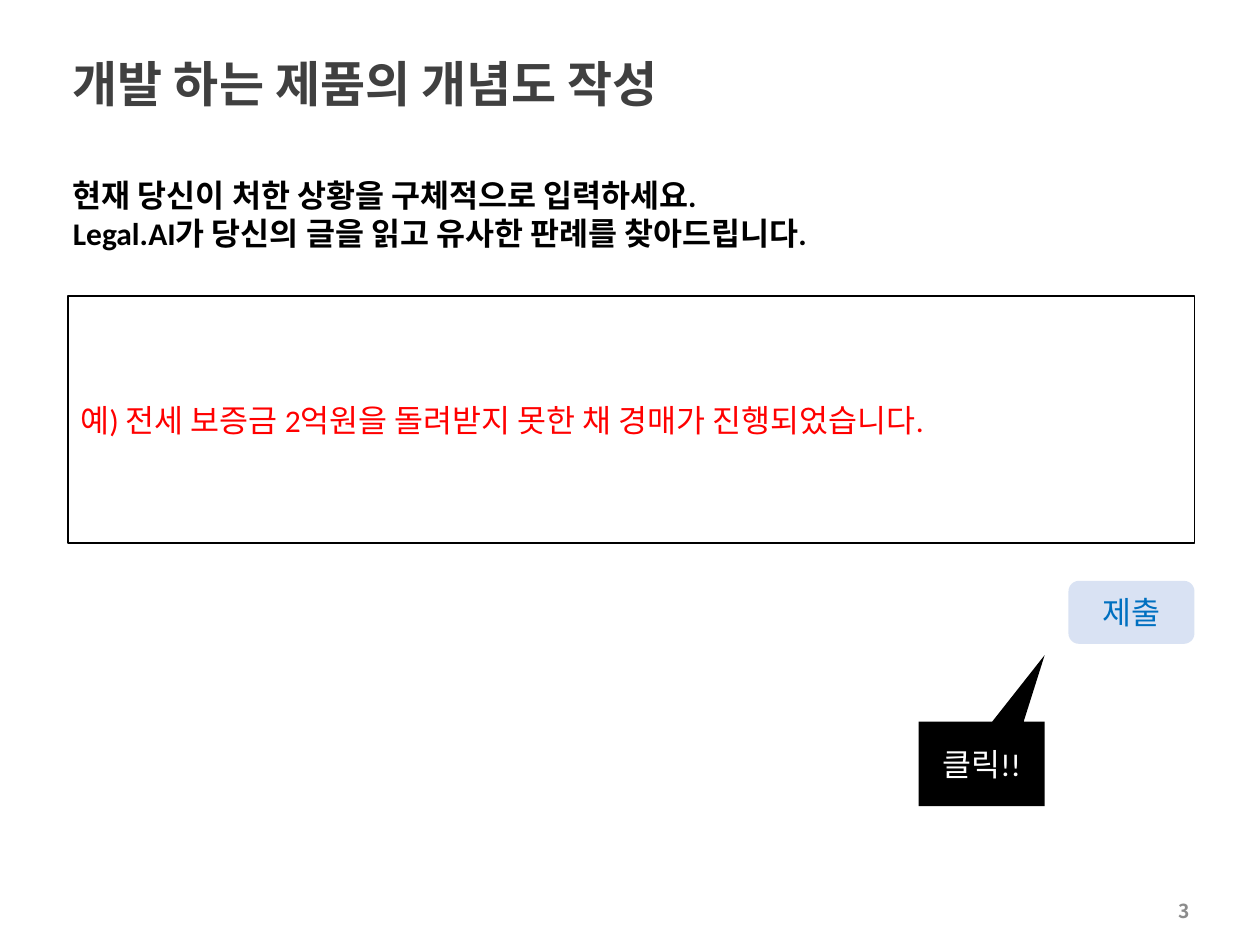
import pptx
import pptx.util
import pptx.dml.color
import pptx.enum.shapes
import pptx.enum.text
import pptx.oxml.ns
from dataclasses import dataclass
from lxml import etree
from pptx.util import Cm

ANCHOR = pptx.enum.text.MSO_ANCHOR
ALIGN = pptx.enum.text.PP_ALIGN
SHAPE = pptx.enum.shapes.MSO_SHAPE
qn = pptx.oxml.ns.qn


@dataclass(frozen=True)
class Theme:
    latin: str = "Calibri"
    hangul: str = "Noto Sans CJK KR"
    title: str = "404040"
    number: str = "8C8C8C"
    black: str = "000000"
    white: str = "FFFFFF"
    sample: str = "FF0000"
    button: str = "4472C4"
    label: str = "0070C0"
    head: int = 28
    body: int = 18
    small: int = 11


THEME = Theme()


def rgb(code):
    return pptx.dml.color.RGBColor.from_string(code)


def write(shape, lines, color, size=THEME.body, face=THEME.latin, bold=False,
          align=ALIGN.LEFT, anchor=ANCHOR.MIDDLE, space=None):
    frame = shape.text_frame
    frame.word_wrap = True
    frame.vertical_anchor = anchor
    for i, line in enumerate(lines):
        para = frame.add_paragraph() if i else frame.paragraphs[0]
        para.alignment = align
        para.line_spacing = space
        run = para.add_run()
        run.text = line
        font = run.font
        font.name, font.size, font.bold = face, pptx.util.Pt(size), bold
        font.color.rgb = rgb(color)
        # Hangul takes its typeface from the East Asian slot
        east = etree.SubElement(run._r.get_or_add_rPr(), qn("a:ea"))
        east.set("typeface", THEME.hangul)


def add_text(slide, box, lines, color, **style):
    write(slide.shapes.add_textbox(*map(Cm, box)), lines, color, **style)


def add_box(slide, kind, box, fill, line=None):
    shape = slide.shapes.add_shape(kind, *map(Cm, box))
    shape.shadow.inherit = False
    shape.fill.solid()
    shape.fill.fore_color.rgb = rgb(fill)
    if line:
        shape.line.color.rgb = rgb(line)
        shape.line.width = pptx.util.Pt(1)
    else:
        shape.line.fill.background()
    return shape


def fade(shape, percent):
    """Set the opacity of a solid fill."""
    tint = shape.fill._xPr.find(qn("a:solidFill"))[0]
    etree.SubElement(tint, qn("a:alpha")).set("val", str(percent * 1000))


def main():
    deck = pptx.Presentation()
    deck.slide_width, deck.slide_height = Cm(25.4), Cm(19.05)
    slide = deck.slides.add_slide(deck.slide_layouts[6])

    add_text(slide, (1.22, 0.38, 23.01, 2.03), ["개발 하는 제품의 개념도 작성"],
             THEME.title, size=THEME.head, face=THEME.hangul, bold=True,
             anchor=ANCHOR.BOTTOM, space=0.9)
    add_text(slide, (18.52, 18.08, 5.71, 0.58), ["3"], THEME.number,
             size=THEME.small, face=THEME.hangul, bold=True, align=ALIGN.RIGHT)
    add_text(slide, (1.22, 3.43, 16.41, 1.8),
             ["현재 당신이 처한 상황을 구체적으로 입력하세요.",
              "Legal.AI가 당신의 글을 읽고 유사한 판례를 찾아드립니다."],
             THEME.black, bold=True, anchor=ANCHOR.TOP)

    entry = add_box(slide, SHAPE.RECTANGLE, (1.37, 5.97, 22.71, 4.98),
                    THEME.white, THEME.black)
    write(entry, ["예) 전세 보증금 2억원을 돌려받지 못한 채 경매가 진행되었습니다."],
          THEME.sample)

    button = add_box(slide, SHAPE.ROUNDED_RECTANGLE, (21.54, 11.71, 2.54, 1.27),
                     THEME.button)
    fade(button, 20)
    write(button, ["제출"], THEME.label, align=ALIGN.CENTER)

    hint = add_box(slide, SHAPE.RECTANGULAR_CALLOUT, (18.52, 14.55, 2.54, 1.7),
                   THEME.black)
    hint.adjustments[0], hint.adjustments[1] = 0.5, -1.29
    write(hint, ["클릭!!"], THEME.white, align=ALIGN.CENTER)

    deck.save("out.pptx")


if __name__ == "__main__":
    main()
